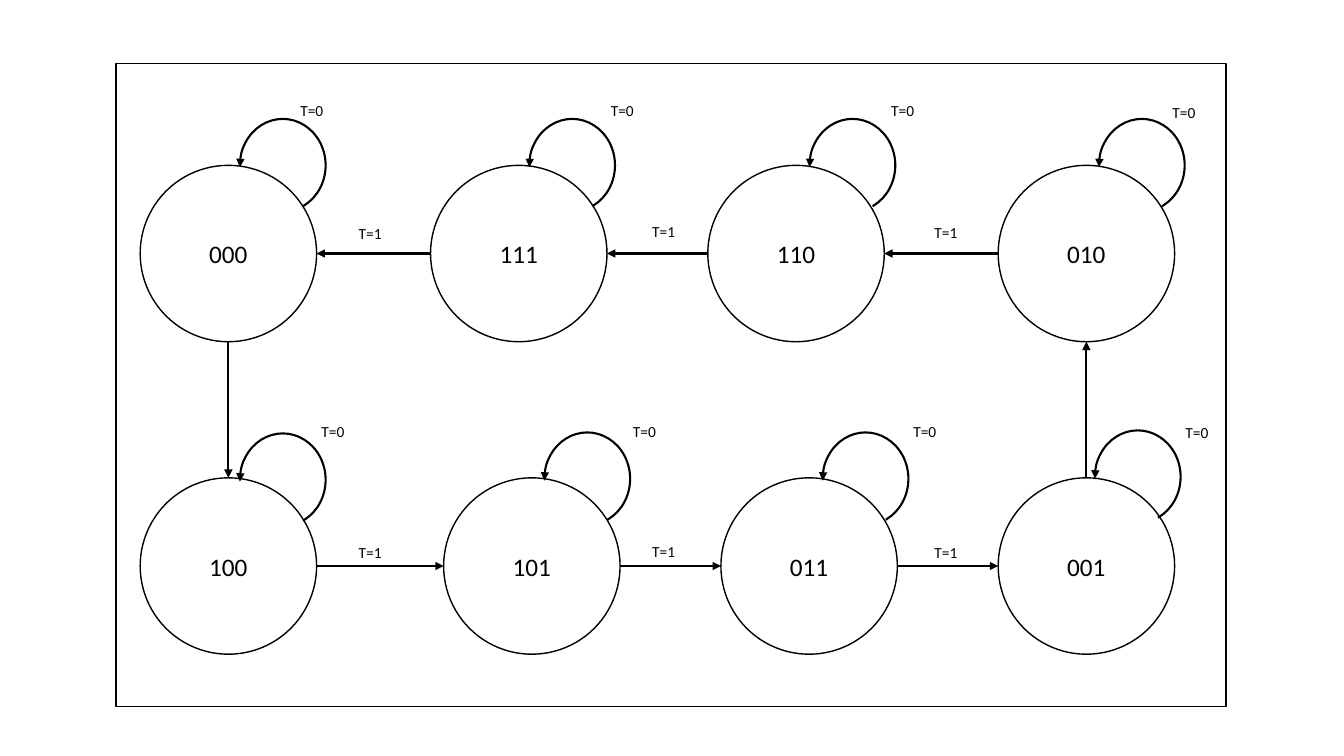
from lxml import etree
from pptx import Presentation
from pptx.dml.color import RGBColor
from pptx.enum.shapes import MSO_CONNECTOR, MSO_SHAPE
from pptx.enum.text import MSO_ANCHOR, MSO_AUTO_SIZE, PP_ALIGN
from pptx.oxml.ns import qn
from pptx.util import Inches, Pt

RECTANGLE, OVAL, ARC = MSO_SHAPE.RECTANGLE, MSO_SHAPE.OVAL, MSO_SHAPE.ARC
STRAIGHT = MSO_CONNECTOR.STRAIGHT
MIDDLE, CENTER, LEFT = MSO_ANCHOR.MIDDLE, PP_ALIGN.CENTER, PP_ALIGN.LEFT
GROW = MSO_AUTO_SIZE.SHAPE_TO_FIT_TEXT
BLACK = RGBColor(0, 0, 0)
WHITE = RGBColor(255, 255, 255)

DIAMETER = 1.75
RADIUS = DIAMETER / 2
TOP_ROW, BOTTOM_ROW = 1.64, 4.74
STATE_FRAME = {"vertical_anchor": MIDDLE, "word_wrap": True}
LABEL_FRAME = {"word_wrap": False, "auto_size": GROW}
# Arc angles are stored in 60000ths of a degree; adjustments in 100000ths.
DEGREE = 0.6
LOOP_START, LOOP_END = 177.55 * DEGREE, 63.75 * DEGREE

# state: left, top, then left and top of its loop and of the loop's label
STATES = {
    "000": (1.39, TOP_ROW, (2.38, 1.18), (2.88, 0.95)),
    "111": (4.27, TOP_ROW, (5.25, 1.18), (5.96, 0.95)),
    "110": (7.02, TOP_ROW, (8.03, 1.18), (8.74, 0.95)),
    "010": (9.9, TOP_ROW, (10.9, 1.18), (11.53, 0.97)),
    "100": (1.39, BOTTOM_ROW, (2.38, 4.3), (3.09, 4.14)),
    "101": (4.4, BOTTOM_ROW, (5.4, 4.29), (6.18, 4.14)),
    "011": (7.15, BOTTOM_ROW, (8.16, 4.29), (8.96, 4.14)),
    "001": (9.9, BOTTOM_ROW, (10.86, 4.27), (11.66, 4.15)),
}
# from, to, place of the label
TRANSITIONS = [
    ("000", "100", None),
    ("100", "101", (3.46, 5.34)),
    ("101", "011", (6.37, 5.33)),
    ("011", "001", (9.17, 5.34)),
    ("001", "010", None),
    ("010", "110", (9.17, 2.16)),
    ("110", "111", (6.37, 2.15)),
    ("111", "000", (3.46, 2.17)),
]

presentation = Presentation()
presentation.slide_width = Inches(13.33)
presentation.slide_height = Inches(7.5)
slide = presentation.slides.add_slide(presentation.slide_layouts[6])


def add_outlined(kind, left, top, width, height, line_width=1):
    """Add a shape with a black outline, white unless it is an arc."""
    shape = slide.shapes.add_shape(
        kind, Inches(left), Inches(top), Inches(width), Inches(height))
    shape.shadow.inherit = False
    if kind == ARC:
        shape.fill.background()
    else:
        shape.fill.solid()
        shape.fill.fore_color.rgb = WHITE
    shape.line.color.rgb = BLACK
    shape.line.width = Pt(line_width)
    return shape


def write_text(shape, text, size, alignment, frame_format):
    """Write one black line of text into a shape."""
    frame = shape.text_frame
    for name, value in frame_format.items():
        setattr(frame, name, value)
    paragraph = frame.paragraphs[0]
    paragraph.alignment = alignment
    run = paragraph.add_run()
    run.text = text
    for name, value in {"size": Pt(size), "name": "Calibri"}.items():
        setattr(run.font, name, value)
    run.font.color.rgb = BLACK


add_outlined(RECTANGLE, 1.15, 0.63, 11.01, 6.38)

for state, (left, top, _, _) in STATES.items():
    circle = add_outlined(OVAL, left, top, DIAMETER, DIAMETER)
    write_text(circle, state, 18, CENTER, STATE_FRAME)

# Each arrow runs from rim to rim along the line between two centres.
for source, target, _ in TRANSITIONS:
    (x1, y1), (x2, y2) = [
        (STATES[state][0] + RADIUS, STATES[state][1] + RADIUS)
        for state in (source, target)]
    step_x = RADIUS * ((x2 > x1) - (x2 < x1))
    step_y = RADIUS * ((y2 > y1) - (y2 < y1))
    arrow = slide.shapes.add_connector(
        STRAIGHT, Inches(x1 + step_x), Inches(y1 + step_y),
        Inches(x2 - step_x), Inches(y2 - step_y))
    arrow.line.color.rgb = BLACK
    arrow.line.width = Pt(1.5)
    etree.SubElement(arrow.line._get_or_add_ln(), qn("a:tailEnd"), type="triangle")
    etree.SubElement(arrow._element.spPr, qn("a:effectLst"))

for _, _, (left, top), _ in STATES.values():
    loop = add_outlined(ARC, left, top, 0.85, 0.92, 1.5)
    loop.adjustments[0] = LOOP_START
    loop.adjustments[1] = LOOP_END
    etree.SubElement(loop.line._get_or_add_ln(), qn("a:headEnd"), type="triangle")

labels = [("T=0", place) for _, _, _, place in STATES.values()]
labels += [("T=1", place) for _, _, place in TRANSITIONS if place]
for text, (left, top) in labels:
    label = slide.shapes.add_textbox(
        Inches(left), Inches(top), Inches(0.43), Inches(0.29))
    write_text(label, text, 11, LEFT, LABEL_FRAME)

presentation.save("out.pptx")
